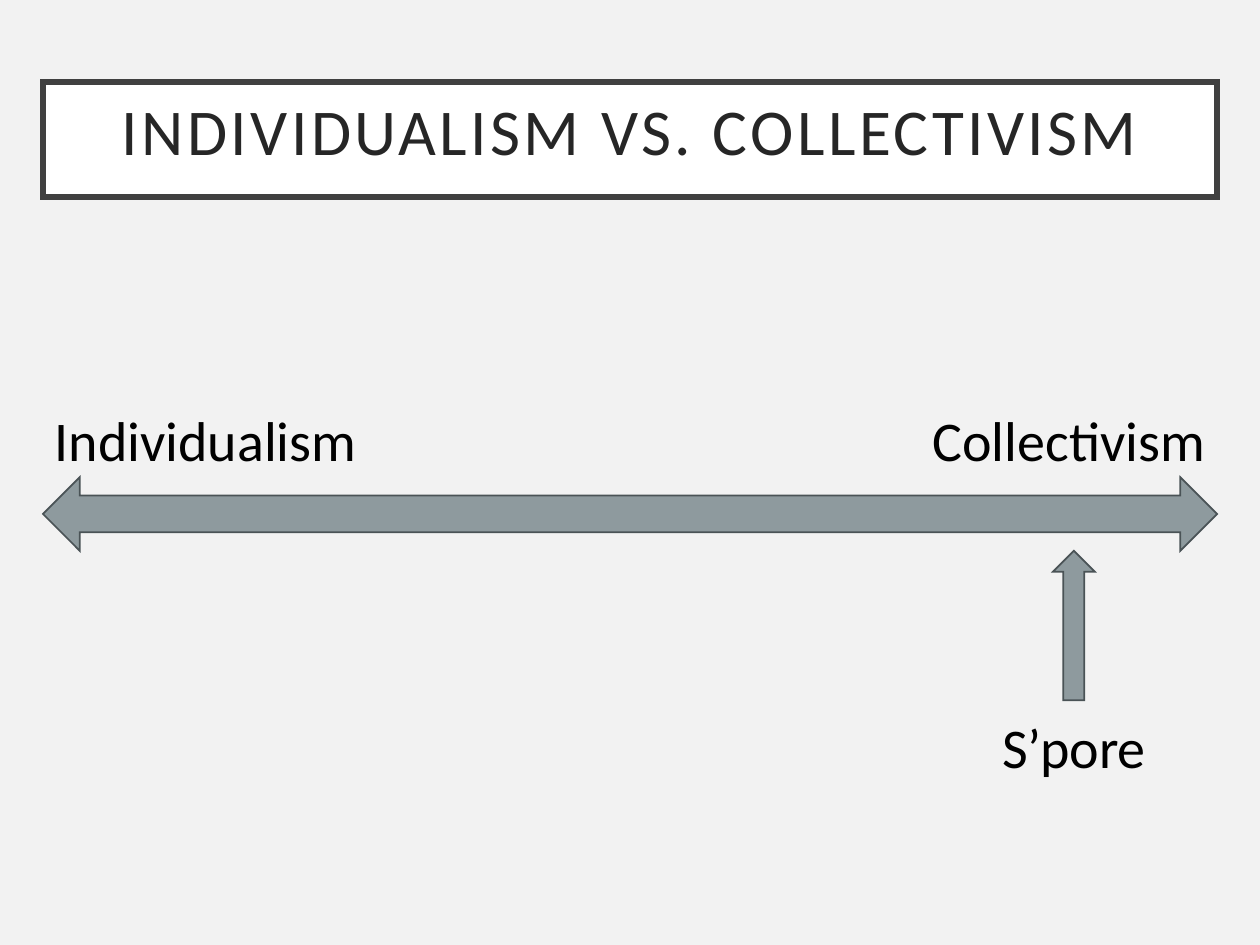
import pptx
import pptx.util
import pptx.dml.color
import pptx.enum.shapes
import pptx.enum.text
import pptx.oxml.ns
from dataclasses import dataclass
from lxml import etree

ALIGN = pptx.enum.text.PP_ALIGN
SHAPE = pptx.enum.shapes.MSO_SHAPE

# Slide in 4:3 proportion
WIDTH = pptx.util.Inches(7.5)
HEIGHT = WIDTH * 3 // 4


@dataclass(frozen=True)
class Theme:
    font: str = "Calibri"
    title_size: int = 28
    label_size: int = 24
    background: str = "F2F2F2"
    panel: str = "FFFFFF"
    frame: str = "404040"
    title: str = "262626"
    text: str = "000000"
    arrow: str = "8E9A9E"
    arrow_edge: str = "4A5356"


THEME = Theme()

# Layout in percent of the slide's width and height
MARGIN = 3.41
SPAN = 100 - 2 * MARGIN
ROW = 7.79
AXIS_TOP = 50.5
LABEL_TOP = 41.67
LABEL_WIDTH = 27.33
MARKER_CENTRE = 85.23
MARKER_WIDTH, MARKER_HEIGHT = 3.33, 15.82
MARKER_LABEL_WIDTH = 17.2


def box(left, top, width, height):
    return (int(WIDTH * left / 100), int(HEIGHT * top / 100),
            int(WIDTH * width / 100), int(HEIGHT * height / 100))


def rgb(value):
    return pptx.dml.color.RGBColor.from_string(value)


def paint(sp, fill, line, weight):
    sp.fill.solid()
    sp.fill.fore_color.rgb = rgb(fill)
    sp.line.color.rgb = rgb(line)
    sp.line.width = pptx.util.Pt(weight)
    # Sharp corners
    ln = sp._element.spPr.find(pptx.oxml.ns.qn("a:ln"))
    etree.SubElement(ln, pptx.oxml.ns.qn("a:miter"), lim="800000")


def write(sp, text, size, color, align, inset, wrap=True):
    tf = sp.text_frame
    tf.word_wrap = wrap
    tf.auto_size = pptx.enum.text.MSO_AUTO_SIZE.NONE
    tf.vertical_anchor = pptx.enum.text.MSO_ANCHOR.TOP
    tf.margin_left = tf.margin_right = pptx.util.Inches(inset)
    tf.margin_top = tf.margin_bottom = pptx.util.Inches(inset)
    tf.text = text
    p = tf.paragraphs[0]
    p.alignment = align
    p.font.name = THEME.font
    p.font.size = pptx.util.Pt(size)
    p.font.color.rgb = rgb(color)
    return p


def add_title(s, text):
    sp = s.shapes.title
    sp.left, sp.top, sp.width, sp.height = box(MARGIN, 8.68, SPAN, 12.18)
    paint(sp, THEME.panel, THEME.frame, 2.5)
    p = write(sp, text, THEME.title_size, THEME.title, ALIGN.CENTER, 0.1, wrap=False)
    p.line_spacing = 0.9
    # Letter spacing in hundredths of a point
    p.runs[0].font._element.set("spc", "150")


def add_arrow(s, kind, place):
    sp = s.shapes.add_shape(kind, *place)
    sp.shadow.inherit = False
    paint(sp, THEME.arrow, THEME.arrow_edge, 0.75)


def add_label(s, text, left, top, width, align):
    sp = s.shapes.add_textbox(*box(left, top, width, ROW))
    write(sp, text, THEME.label_size, THEME.text, align, 0.07)


def main():
    prs = pptx.Presentation()
    prs.slide_width, prs.slide_height = WIDTH, HEIGHT
    s = prs.slides.add_slide(prs.slide_layouts[5])
    s.background.fill.solid()
    s.background.fill.fore_color.rgb = rgb(THEME.background)

    add_title(s, "INDIVIDUALISM VS. COLLECTIVISM")

    # Scale with a label at each end
    add_arrow(s, SHAPE.LEFT_RIGHT_ARROW, box(MARGIN, AXIS_TOP, SPAN, ROW))
    add_label(s, "Individualism", MARGIN, LABEL_TOP, LABEL_WIDTH, ALIGN.LEFT)
    add_label(s, "Collectivism", 100 - MARGIN - LABEL_WIDTH, LABEL_TOP,
              LABEL_WIDTH, ALIGN.RIGHT)

    # Marker below the scale
    marker_top = AXIS_TOP + ROW
    add_arrow(s, SHAPE.UP_ARROW, box(MARKER_CENTRE - MARKER_WIDTH / 2, marker_top,
                                     MARKER_WIDTH, MARKER_HEIGHT))
    add_label(s, "S’pore", MARKER_CENTRE - MARKER_LABEL_WIDTH / 2,
              marker_top + MARKER_HEIGHT, MARKER_LABEL_WIDTH, ALIGN.CENTER)

    prs.save("out.pptx")


if __name__ == "__main__":
    main()
